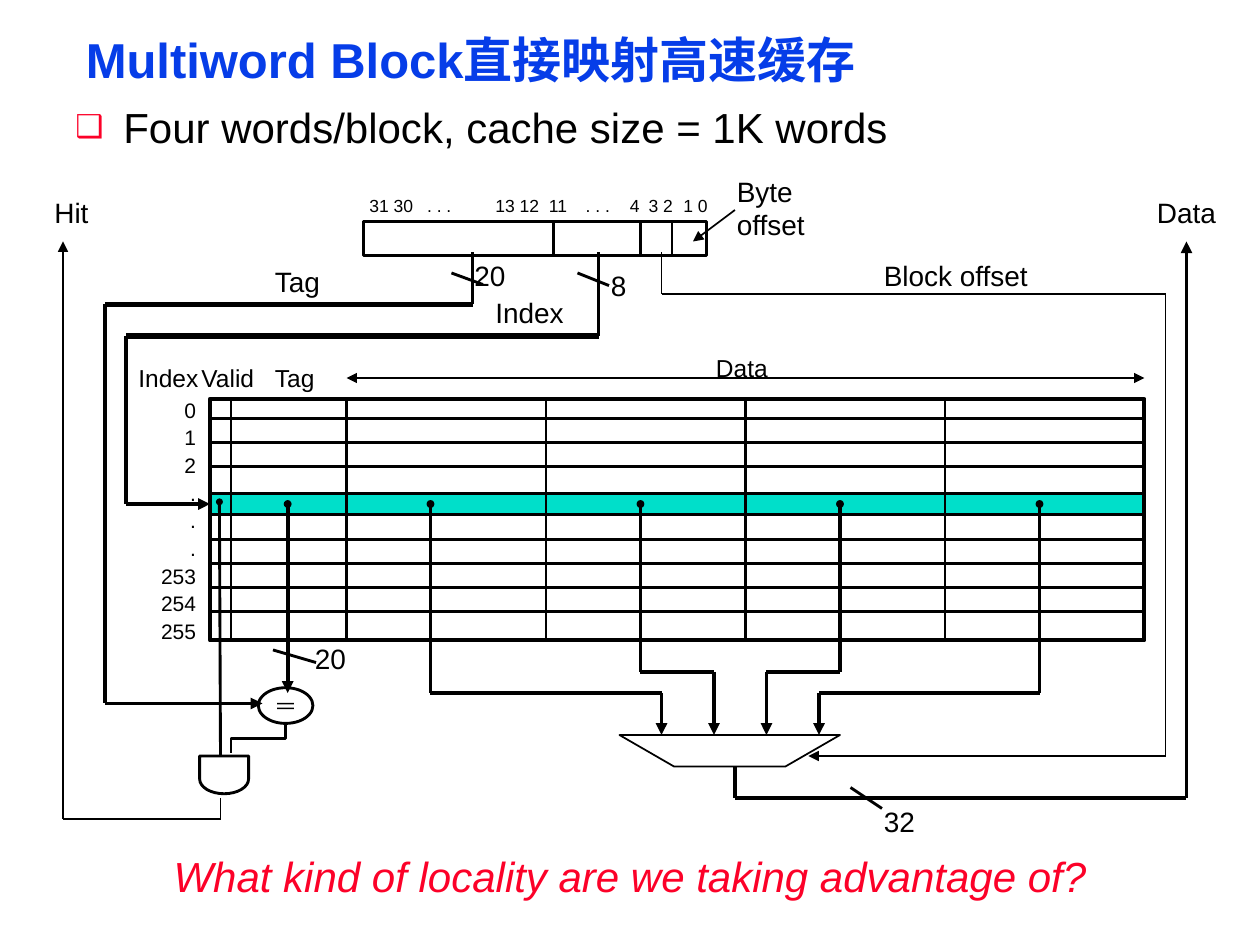
from dataclasses import dataclass
from itertools import pairwise
from math import cos, pi, sin

from lxml import etree
from pptx import Presentation
from pptx.dml.color import RGBColor
from pptx.enum.shapes import MSO_CONNECTOR, MSO_SHAPE
from pptx.enum.text import MSO_ANCHOR, PP_ALIGN
from pptx.oxml.ns import qn
from pptx.util import Inches, Pt

LINE = MSO_CONNECTOR.STRAIGHT
RECT, OVAL = MSO_SHAPE.RECTANGLE, MSO_SHAPE.OVAL
LEFT, MID, RIGHT = PP_ALIGN.LEFT, PP_ALIGN.CENTER, PP_ALIGN.RIGHT
TOP, MIDDLE = MSO_ANCHOR.TOP, MSO_ANCHOR.MIDDLE


@dataclass(frozen=True)
class Theme:
    """Colours, type sizes and line widths."""
    font: str = "Arial"
    ink: str = "000000"
    blue: str = "063DE8"
    red: str = "FC0128"
    teal: str = "00DFCA"
    title: int = 28
    body: int = 24
    label: int = 16
    head: int = 14
    row: int = 12
    bit: int = 10
    hair: float = 1
    thin: float = 1.63
    bold: float = 2.25
    heavy: float = 3


class Board:
    """Draws on one slide laid out as 120 columns by 90 rows."""

    def __init__(self, deck, theme):
        self.theme = theme
        self.slide = deck.slides.add_slide(deck.slide_layouts[6])
        self.shapes = self.slide.shapes
        self.cell = deck.slide_width / 120

    def grid(self, *nums):
        """Turn grid units into lengths."""
        return [round(n * self.cell) for n in nums]

    def text(self, box, words, size, color=None, align=LEFT, anchor=TOP,
             space=1, bold=False, italic=False, stops=(), bullet=None):
        """Add a text box with one paragraph for each line of words."""
        frame = self.shapes.add_textbox(*self.grid(*box)).text_frame
        frame.word_wrap = True
        frame.vertical_anchor = anchor
        frame.text = words
        for para in frame.paragraphs:
            para.alignment = align
            para.line_spacing = space
            if bullet:
                self.mark(para, bullet)
            if stops:
                self.tabs(para, stops)
            for run in para.runs:
                font = run.font
                font.name, font.size = self.theme.font, Pt(size)
                font.bold, font.italic = bold, italic
                font.color.rgb = RGBColor.from_string(color or self.theme.ink)

    def mark(self, para, sign):
        """Give a paragraph a red hanging bullet."""
        props = para._p.get_or_add_pPr()
        props.set("marL", str(Inches(0.38)))
        props.set("indent", str(-Inches(0.38)))
        tint = etree.SubElement(props, qn("a:buClr"))
        etree.SubElement(tint, qn("a:srgbClr"), val=self.theme.red)
        etree.SubElement(props, qn("a:buSzPct"), val="75000")
        etree.SubElement(props, qn("a:buFont"), typeface=self.theme.font)
        etree.SubElement(props, qn("a:buChar"), char=sign)

    def tabs(self, para, stops):
        """Set left tab stops, in grid columns."""
        group = etree.SubElement(para._p.get_or_add_pPr(), qn("a:tabLst"))
        for stop in self.grid(*stops):
            etree.SubElement(group, qn("a:tab"), pos=str(stop), algn="l")

    def wire(self, points, width, head=None, tail=None):
        """Run straight legs through the points, with optional ends."""
        legs = list(pairwise(points))
        for i, (start, end) in enumerate(legs):
            leg = self.shapes.add_connector(LINE, *self.grid(*start, *end))
            leg.line.width = Pt(width)
            leg.line.color.rgb = RGBColor.from_string(self.theme.ink)
            props = leg._element.spPr
            stroke = props.find(qn("a:ln"))
            if head and i == 0:
                size = "sm" if head == "oval" else "med"
                etree.SubElement(stroke, qn("a:headEnd"), type=head, w=size, len=size)
            if tail and i == len(legs) - 1:
                etree.SubElement(stroke, qn("a:tailEnd"), type=tail)
            etree.SubElement(props, qn("a:effectLst"))

    def paint(self, shape, width, fill=None):
        """Set the outline and fill of a shape."""
        shape.shadow.inherit = False
        if fill:
            shape.fill.solid()
            shape.fill.fore_color.rgb = RGBColor.from_string(fill)
        else:
            shape.fill.background()
        if width:
            shape.line.width = Pt(width)
            shape.line.color.rgb = RGBColor.from_string(self.theme.ink)
        else:
            shape.line.fill.background()

    def form(self, kind, box, width, fill=None):
        """Add a preset shape."""
        self.paint(self.shapes.add_shape(kind, *self.grid(*box)), width, fill)

    def trace(self, points, width, close=True):
        """Add an outline through the points."""
        first, *rest = [self.grid(*p) for p in points]
        pen = self.shapes.build_freeform(*first)
        pen.add_line_segments(rest, close=close)
        self.paint(pen.convert_to_shape(), width)


def address(board, t):
    """Draw the address word and its fields."""
    board.form(RECT, (34.6, 21.1, 32.7, 3.2), t.thin)
    for x in (52.7, 61, 64):
        board.wire([(x, 21), (x, 24.2)], t.thin)
    board.text((34, 18, 40.2, 3.2), "31 30\t. . .\t13 12\t11\t. . .\t4\t3 2\t1 0",
               t.bit, stops=(5.5, 12, 17.1, 20.6, 24.8, 26.6, 29.9))
    board.text((69, 16, 11, 7.7), "Byte offset", t.label)
    board.wire([(70, 20), (66, 23)], t.hair, tail="triangle")


def cache(board, t):
    """Draw the cache array with its headings and row numbers."""
    board.form(RECT, (20, 47, 89, 2), t.thin, t.teal)
    board.form(RECT, (20, 38, 89, 23), t.bold)
    for y in [top + 2.28 * i for top, n in ((39.9, 3), (51.36, 4)) for i in range(n)]:
        board.wire([(20, y), (109, y)], t.thin)
    for x in (22, *range(33, 109, 19)):
        board.wire([(x, 38), (x, 61)], t.thin)
    for x, y, name in ((67, 33, "Data"), (12, 34, "Index"),
                       (18, 34, "Valid"), (25, 34, "Tag")):
        board.text((x, y, 10, 4), name, t.head)
    board.wire([(33, 36), (109, 36)], t.hair, "triangle", "triangle")
    board.text((12, 37, 7.85, 25), "0\n1\n2\n.\n.\n.\n253\n254\n255", t.row,
               align=RIGHT, space=1.1)


def logic(board, t):
    """Draw the comparator, the gate and the selector."""
    board.form(OVAL, (24.6, 65.5, 5.2, 3.4), t.thin)
    for y in (66.95, 67.4):
        board.form(RECT, (26.4, y, 1.6, 0.15), 0, t.ink)
    arc = [(21.35 + 2.33 * cos(pi * i / 16), 74.2 + 1.4 * sin(pi * i / 16))
           for i in range(17)]
    board.trace([(19.02, 72), (23.68, 72), *arc], t.thin)
    board.trace([(27.2, 68.9), (27.2, 70.3), (22, 70.3), (22, 71.75)], t.thin, False)
    board.trace([(59, 70), (64.2, 73), (74.8, 73), (80, 70)], t.hair)


def wires(board, t):
    """Draw the signal paths, width strokes and signal names."""
    board.wire([(57, 24), (57, 32)], t.bold)
    board.wire([(57, 32), (12, 32)], t.heavy)
    board.wire([(12, 32), (12, 48), (20, 48)], t.bold, tail="triangle")
    board.wire([(45, 24), (45, 29)], t.bold)
    board.wire([(45, 29), (10, 29)], t.heavy)
    board.wire([(10, 29), (10, 67), (25, 67)], t.bold, tail="triangle")
    board.wire([(27.4, 48), (27.4, 66)], t.bold, "oval", "triangle")
    board.wire([(20.9, 47.8), (21, 72)], t.thin, "oval")
    for x, y, end in ((41, 66, 63), (61, 64, 68), (80, 64, 73), (99, 66, 78)):
        board.wire([(x, 48), (x, y), (end, y), (end, 70)], t.bold, "oval", "triangle")
    board.wire([(63, 24), (63, 28), (111, 28), (111, 72), (77, 72)], t.hair,
               tail="triangle")
    board.wire([(70, 73), (70, 76), (113, 76), (113, 23)], t.bold, tail="triangle")
    board.wire([(21, 76), (21, 78), (6, 78), (6, 23)], t.hair, tail="triangle")
    for x, y, wide, tall in ((55, 26, 3, 1.2), (26, 61.9, 4.1, 1.2),
                             (43, 26, 3, 1.1), (81, 75, 3, 2)):
        board.wire([(x, y), (x + wide, y + tall)], t.thin)
    for x, y, wide, name in (
            (57, 25, 6, "8"), (46, 27.6, 10, "Index"), (28.8, 60.5, 7, "20"),
            (44, 24, 7, "20"), (25, 24.6, 9, "Tag"), (4, 18, 9, "Hit"),
            (109, 18, 10, "Data"), (83, 76, 7, "32"), (83, 24, 21, "Block offset")):
        board.text((x, y, wide, 4.4), name, t.label)


def main():
    """Build the slide and save it."""
    deck = Presentation()
    deck.slide_width, deck.slide_height = Inches(10), Inches(7.5)
    t = Theme()
    board = Board(deck, t)
    board.text((7, 3, 107, 6.1), "Multiword Block直接映射高速缓存", t.title, t.blue,
               anchor=MIDDLE, space=0.87, bold=True)
    board.text((6, 10, 106, 7), "Four words/block, cache size = 1K words", t.body,
               space=0.8, bullet="❑")
    cache(board, t)
    address(board, t)
    logic(board, t)
    wires(board, t)
    board.text((7, 81, 106, 6), "What kind of locality are we taking advantage of?",
               t.body, t.red, MID, space=0.9, italic=True)
    deck.save("out.pptx")


if __name__ == "__main__":
    main()
